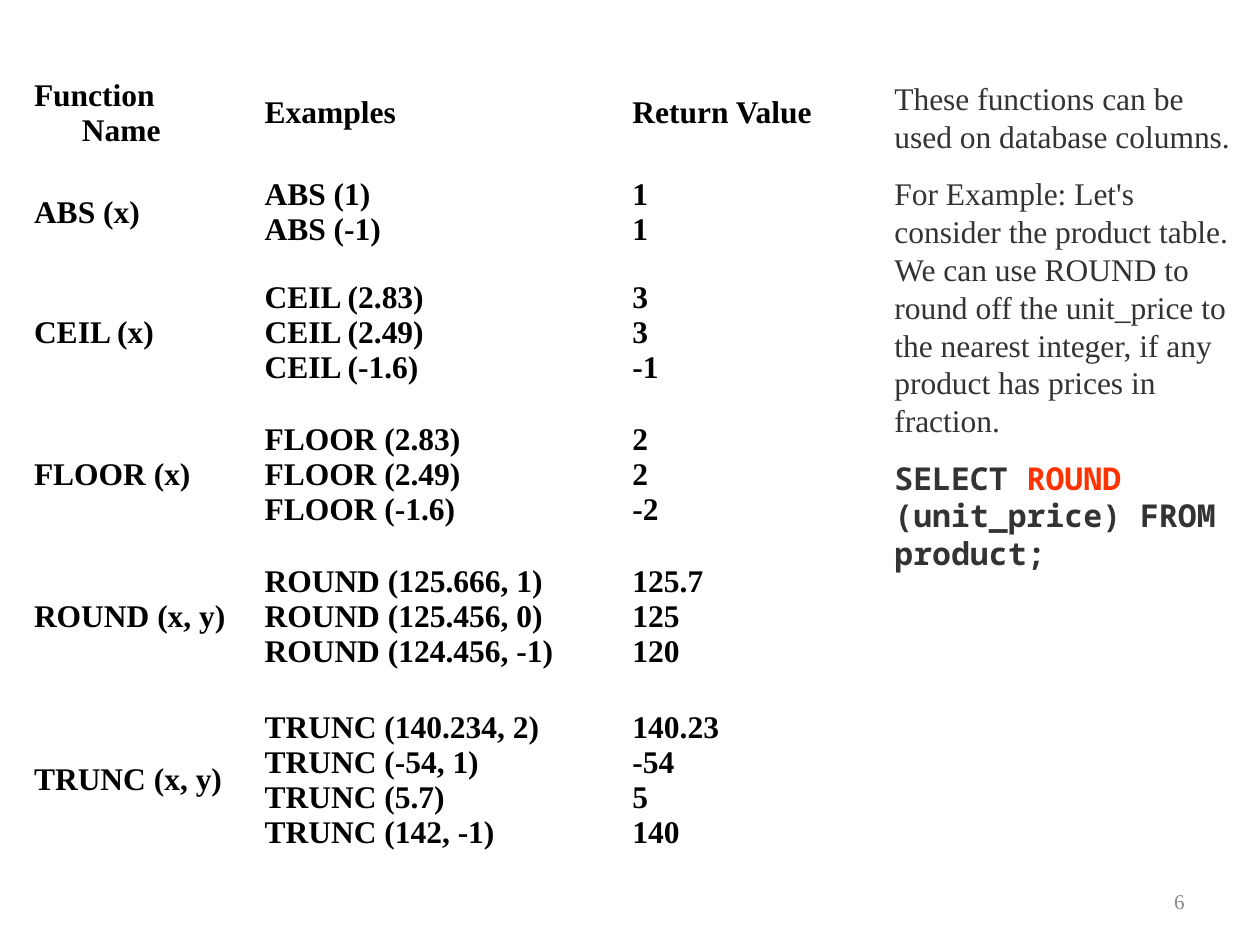
from pptx import Presentation
from pptx.dml.color import RGBColor
from pptx.enum.text import MSO_ANCHOR, PP_ALIGN
from pptx.util import Inches, Pt

BLACK = RGBColor(0x00, 0x00, 0x00)
DARK = RGBColor(0x33, 0x33, 0x33)
GREY = RGBColor(0x89, 0x89, 0x89)
RED = RGBColor(0xFF, 0x33, 0x00)
SERIF = "Times New Roman"
MONO = "Noto Sans Mono"

COLS = [1.83, 2.92, 1.67]
HEIGHTS = [0.79, 0.79, 1.13, 1.12, 1.13, 1.46]
ROWS = [
    (["Function Name"], ["Examples"], ["Return Value"]),
    (["ABS (x)"], ["ABS (1)", "ABS (-1)"], ["1", "1"]),
    (["CEIL (x)"], ["CEIL (2.83)", "CEIL (2.49)", "CEIL (-1.6)"], ["3", "3", "-1"]),
    (["FLOOR (x)"], ["FLOOR (2.83)", "FLOOR (2.49)", "FLOOR (-1.6)"], ["2", "2", "-2"]),
    (["ROUND (x, y)"],
     ["ROUND (125.666, 1)", "ROUND (125.456, 0)", "ROUND (124.456, -1)"],
     ["125.7", "125", "120"]),
    (["TRUNC (x, y)"],
     ["TRUNC (140.234, 2)", "TRUNC (-54, 1)", "TRUNC (5.7)", "TRUNC (142, -1)"],
     ["140.23", "-54", "5", "140"]),
]
NOTES = [
    "These functions can be used on database columns.",
    "For Example: Let's consider the product table. We can use ROUND to round off "
    "the unit_price to the nearest integer, if any product has prices in fraction.",
]
QUERY = [("SELECT ", DARK), ("ROUND ", RED), ("(unit_price) FROM product;", DARK)]


def add_run(para, text, size=18, font=SERIF, color=DARK, bold=False):
    """Append a formatted run to a paragraph."""
    run = para.add_run()
    run.text = text
    run.font.size = Pt(size)
    run.font.name = font
    run.font.color.rgb = color
    run.font.bold = bold


def add_para(frame, first, pitch=None, before=0, hang=0):
    """Return the first paragraph of a frame or a new one, with its spacing."""
    para = frame.paragraphs[0] if first else frame.add_paragraph()
    para.space_before = Pt(before)
    if pitch:
        para.line_spacing = Pt(pitch)
    if hang:
        props = para._p.get_or_add_pPr()
        props.set("marL", str(Inches(hang)))
        props.set("indent", str(-Inches(hang)))
    return para


def add_box(slide, left, top, width, height, anchor=MSO_ANCHOR.TOP):
    """Add a wrapping text box and return its text frame."""
    box = slide.shapes.add_textbox(
        Inches(left), Inches(top), Inches(width), Inches(height))
    box.text_frame.word_wrap = True
    box.text_frame.vertical_anchor = anchor
    return box.text_frame


def fill_cell(cell, lines):
    """Write bold hanging lines into a clear table cell."""
    cell.fill.background()
    cell.vertical_anchor = MSO_ANCHOR.MIDDLE
    for i, line in enumerate(lines):
        para = add_para(cell.text_frame, i == 0, pitch=20, hang=0.38)
        add_run(para, line, color=BLACK, bold=True)


def add_grid(slide):
    """Add the table of numeric functions."""
    frame = slide.shapes.add_table(
        len(ROWS), len(COLS), Inches(0.17), Inches(0.5),
        Inches(sum(COLS)), Inches(sum(HEIGHTS)))
    table = frame.table
    table.first_row = table.horz_banding = False
    for col, width in zip(table.columns, COLS):
        col.width = Inches(width)
    for row, height, cells in zip(table.rows, HEIGHTS, ROWS):
        row.height = Inches(height)
        for cell, lines in zip(row.cells, cells):
            fill_cell(cell, lines)


def add_notes(slide):
    """Add the side notes with the sample query."""
    frame = add_box(slide, 7, 0.58, 3, 4.02)
    for i, note in enumerate(NOTES):
        add_run(add_para(frame, i == 0, pitch=21.6, before=11.2), note)
    para = add_para(frame, False, pitch=21.6, before=11.2)
    for text, color in QUERY:
        add_run(para, text, font=MONO, color=color, bold=True)


def add_number(slide):
    """Add the slide number."""
    frame = add_box(slide, 7.17, 6.95, 2.33, 0.4, MSO_ANCHOR.MIDDLE)
    para = add_para(frame, True)
    para.alignment = PP_ALIGN.RIGHT
    add_run(para, "6", size=12, color=GREY)


def main():
    """Build and save the slide."""
    deck = Presentation()
    deck.slide_width, deck.slide_height = Inches(10), Inches(7.5)
    slide = deck.slides.add_slide(deck.slide_layouts[6])
    add_grid(slide)
    add_number(slide)
    add_notes(slide)
    deck.save("out.pptx")


if __name__ == "__main__":
    main()
